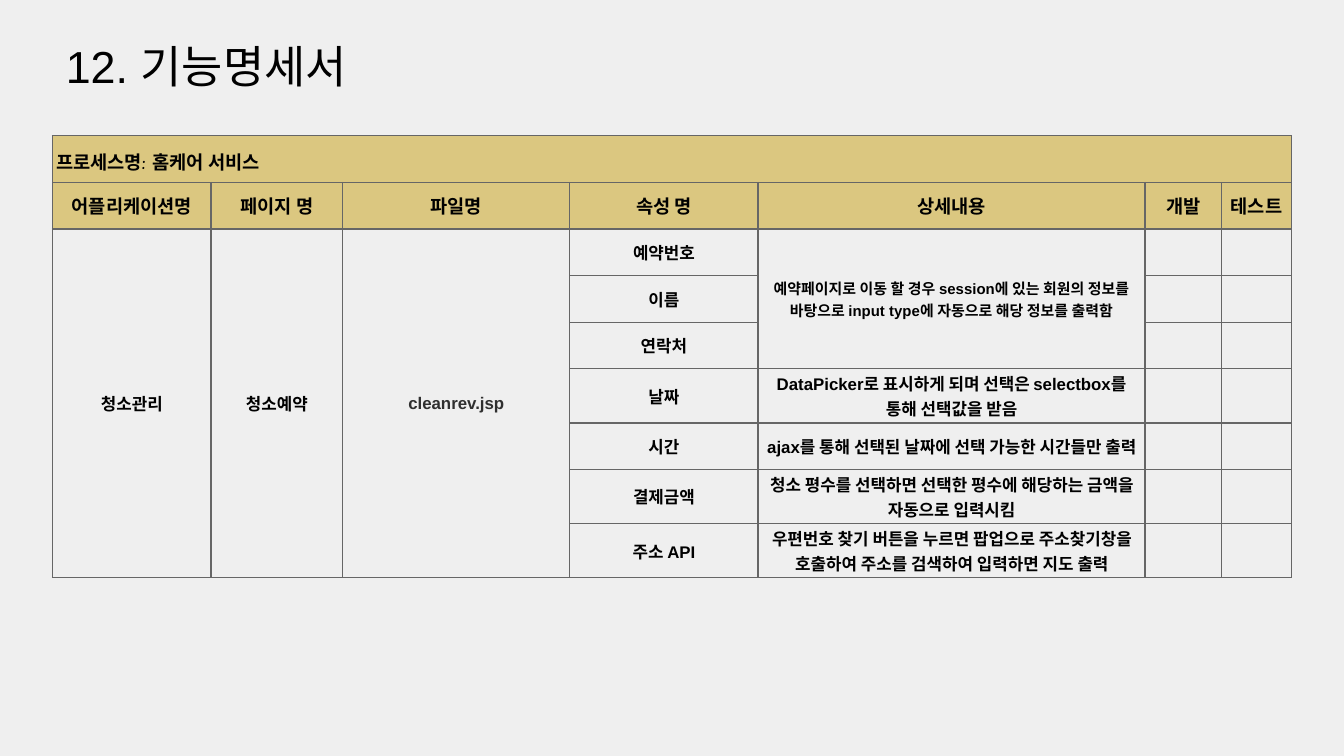
from lxml import etree
from pptx import Presentation
from pptx.dml.color import RGBColor
from pptx.enum.text import MSO_ANCHOR, PP_ALIGN
from pptx.oxml.ns import qn
from pptx.util import Inches, Pt

MIDDLE = MSO_ANCHOR.MIDDLE
LEFT, CENTER = PP_ALIGN.LEFT, PP_ALIGN.CENTER

# Content
TITLE = "12. 기능명세서"
PROCESS = "프로세스명: 홈케어 서비스"
HEADERS = ["어플리케이션명", "페이지 명", "파일명", "속성 명", "상세내용", "개발", "테스트"]
SCOPE = ["청소관리", "청소예약", "cleanrev.jsp"]
ATTRIBUTES = [
    ("예약번호", "예약페이지로 이동 할 경우 session에 있는 회원의 정보를 "
             "바탕으로 input type에 자동으로 해당 정보를 출력함"),
    ("이름", ""),
    ("연락처", ""),
    ("날짜", "DataPicker로 표시하게 되며 선택은 selectbox를 통해 선택값을 받음"),
    ("시간", "ajax를 통해 선택된 날짜에 선택 가능한 시간들만 출력"),
    ("결제금액", "청소 평수를 선택하면 선택한 평수에 해당하는 금액을 자동으로 입력시킴"),
    ("주소 API", "우편번호 찾기 버튼을 누르면 팝업으로 주소찾기창을 "
               "호출하여 주소를 검색하여 입력하면 지도 출력"),
]
COLUMN_WIDTHS = [1.18, 0.98, 1.69, 1.4, 2.88, 0.57, 0.52]
ROW_HEIGHT = Pt(25)

HEADER_FONT = {"size": Pt(10), "name": "Comic Neue", "bold": True}
BODY_FONT = {"size": Pt(9), "name": "Arial", "bold": True}
NOTE_FONT = {**BODY_FONT, "size": Pt(8)}
TITLE_FONT = {"size": Pt(24), "name": "Arial", "bold": False}
CELL_MARGINS = {"margin_left": Inches(0.03), "margin_right": Inches(0.03),
                "margin_top": Inches(0.02), "margin_bottom": Inches(0.02)}


def paint(target, color):
    target.rgb = RGBColor.from_string(color)


def write(frame, text, font, align, color="000000"):
    para = frame.paragraphs[0]
    para.alignment = align
    span = para.add_run()
    span.text = text
    for name, value in font.items():
        setattr(span.font, name, value)
    paint(span.font.color, color)


def add_borders(cell, color="666666", width=0.75):
    properties = cell._tc.get_or_add_tcPr()
    for index, side in enumerate(("lnL", "lnR", "lnT", "lnB")):
        line = etree.Element(qn("a:" + side), w=str(Pt(width)))
        fill = etree.SubElement(line, qn("a:solidFill"))
        etree.SubElement(fill, qn("a:srgbClr"), val=color)
        properties.insert(index, line)


def fill_header(cell):
    cell.fill.solid()
    paint(cell.fill.fore_color, "D1B347")
    color = cell._tc.tcPr.find(".//" + qn("a:srgbClr"))
    etree.SubElement(color, qn("a:alpha"), val="66000")


# Page in 16:9
deck = Presentation()
deck.slide_width = Inches(10)
deck.slide_height = Inches(10 * 9 / 16)
page = deck.slides.add_slide(deck.slide_layouts[5])
page.background.fill.solid()
paint(page.background.fill.fore_color, "EFEFEF")

# Title
title = page.shapes.title
title.left, title.top = Inches(0.39), Inches(0.19)
title.width, title.height = Inches(4.39), Inches(0.59)
frame = title.text_frame
frame.word_wrap = True
frame.vertical_anchor = MIDDLE
for side in ("left", "right", "top", "bottom"):
    setattr(frame, "margin_" + side, Inches(0.1))
write(frame, TITLE, TITLE_FONT, LEFT)

# Table grid
row_count = len(ATTRIBUTES) + 2
table = page.shapes.add_table(
    row_count, len(HEADERS), Inches(0.39), Inches(1.01),
    Inches(sum(COLUMN_WIDTHS)), ROW_HEIGHT * row_count).table
table.first_row = table.horz_banding = False
for column, width in zip(table.columns, COLUMN_WIDTHS):
    column.width = Inches(width)
for row_index, row in enumerate(table.rows):
    row.height = ROW_HEIGHT
    for cell in row.cells:
        cell.vertical_anchor = MIDDLE
        for name, value in CELL_MARGINS.items():
            setattr(cell, name, value)
        if row_index < 2:
            fill_header(cell)
        else:
            cell.fill.background()
        add_borders(cell)

# Merged cells
table.cell(0, 0).merge(table.cell(0, len(HEADERS) - 1))
for column in range(len(SCOPE)):
    table.cell(2, column).merge(table.cell(row_count - 1, column))
table.cell(2, 4).merge(table.cell(4, 4))

# Table text
write(table.cell(0, 0).text_frame, PROCESS, HEADER_FONT, LEFT)
table.cell(0, 0).text_frame.paragraphs[0].line_spacing = 1.15
for column, text in enumerate(HEADERS):
    write(table.cell(1, column).text_frame, text, HEADER_FONT, CENTER)
for column, text in enumerate(SCOPE):
    color = "2F2F2F" if text.endswith(".jsp") else "000000"
    write(table.cell(2, column).text_frame, text, BODY_FONT, CENTER, color)
for row, (attribute, detail) in enumerate(ATTRIBUTES, start=2):
    write(table.cell(row, 3).text_frame, attribute, BODY_FONT, CENTER)
    if detail:
        font = NOTE_FONT if row == 2 else BODY_FONT
        write(table.cell(row, 4).text_frame, detail, font, CENTER)

deck.save("out.pptx")
